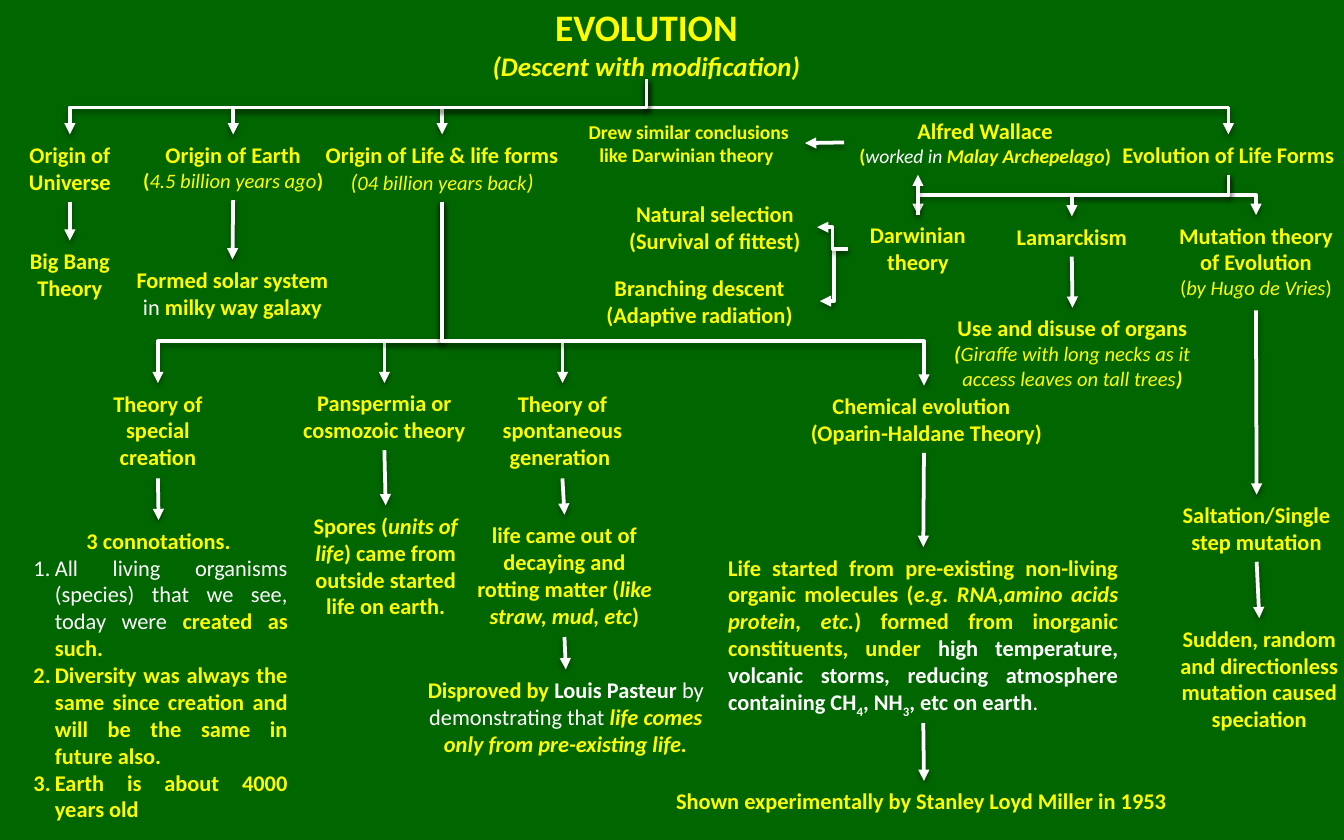
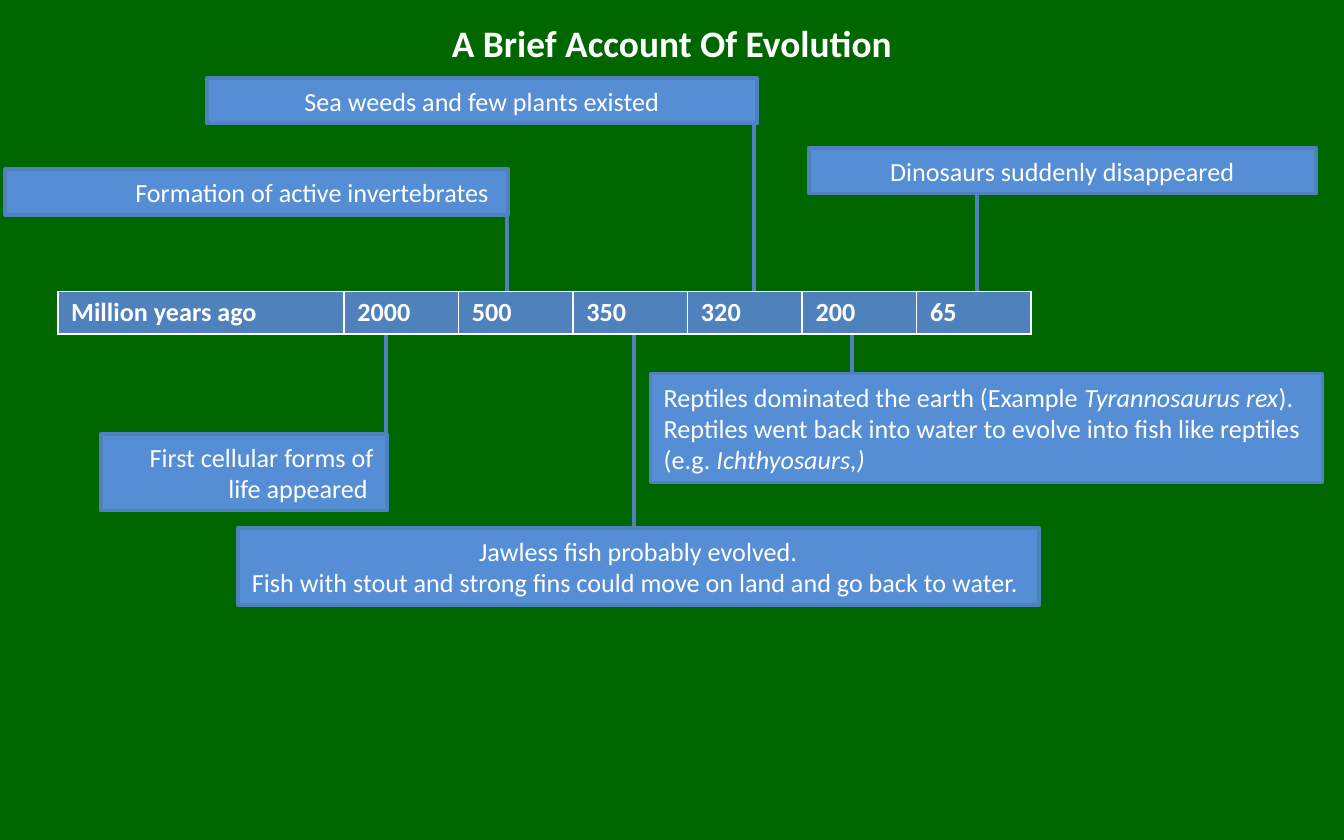
"""Build two slides on evolution: a map of theories and a time line."""
from lxml.etree import SubElement as Sub
from pptx import Presentation
from pptx.dml.color import RGBColor as RGB
from pptx.enum.shapes import MSO_CONNECTOR as Link, MSO_SHAPE as Shape
from pptx.enum.text import MSO_ANCHOR as Anchor, MSO_AUTO_SIZE as Auto, PP_ALIGN as Align
from pptx.oxml.ns import qn
from pptx.util import Inches, Pt


class Theme:
    """Colours, type and line widths; letters are the style codes of runs."""
    font = "Calibri"
    ground, yellow, white = "006600", "FFFF00", "FFFFFF"
    blue, edge = "558ED5", "4F81BD"
    base = 12
    sizes = {"T": 20, "h": 14.4, "m": 14, "s": 11, "x": 10.5}
    line, rule = 2, 1


COLS, ROWS = 100, 62.5
CELL = Inches(10) / COLS
SIDES = {"c": Align.CENTER, "j": Align.JUSTIFY, "r": Align.RIGHT, "l": Align.LEFT,
         "n": Align.JUSTIFY}

HEAD = (21.7, 0.5, 52.8, 5.4)
HEAD_TEXT = [("c", ["EVOLUTION"]), ("c", [("(Descent with modification)", "bih")])]

NODES = {
    "life": (22.4, 10, 21, 5, [
        ("c", ["Origin of Life & life forms"]),
        ("c", [("(", "i"), ("04 billion years back", "is"), (")", "i")])]),
    "forms": (82.4, 10, 18, 3, [("c", ["Evolution of Life Forms"])]),
    "spermia": (21.3, 28.5, 14.6, 5, [("c", ["Panspermia or cosmozoic theory"])]),
    "special": (6.7, 28.5, 10.1, 7.1, [("c", ["Theory of special creation"])]),
    "cosmos": (-1, 10, 12.4, 5, [("c", ["Origin of Universe"])]),
    "bang": (-1, 17.9, 12.4, 5, [("c", ["Big Bang Theory"])]),
    "earth": (9.1, 10, 16.5, 4.9, [
        ("c", ["Origin of Earth"]),
        ("c", [("(", "bs"), ("4.5 billion years ago", "is"), (")", "bs")])]),
    "solar": (8.5, 19.3, 17.6, 5, [
        ("c", ["Formed solar system ", ("in ", "w"), "milky way galaxy"])]),
    "spores": (21.7, 37.6, 14, 9.1, [
        ("c", ["Spores (", ("units of life", "bi"),
               ") came from outside started life on earth."])]),
    "sponte": (35.6, 28.5, 12.5, 7.1, [("c", ["Theory of spontaneous generation "])]),
    "decay": (34, 38.3, 16, 9.1, [
        ("c", ["life came out of decaying and rotting matter (",
               ("like straw, mud, etc", "bi"), ")"])]),
    "pasteur": (30.3, 49.8, 23.6, 7.1, [
        ("c", ["Disproved by ", ("Louis Pasteur ", "bw"), ("by demonstrating that ", "w"),
               ("life comes only from pre-existing life.", "bi")])]),
    "chem": (58.3, 28.7, 20.9, 5, [
        ("c", ["Chemical evolution "]), ("c", [" (Oparin-Haldane Theory)"])]),
    "start": (53.2, 40.7, 31, 13.1, [
        ("j", ["Life started from pre-existing non-living organic molecules (",
               ("e.g. RNA,amino acids protein, etc.", "bi"),
               ") formed from inorganic constituents, under ",
               ("high temperature, volcanic storms, reducing atmosphere containing CH", "bw"),
               ("4", "bw_"), (", NH", "bw"), ("3", "bw_"),
               (", etc on earth", "bw"), (". ", "w")])]),
    "miller": (46.9, 58.1, 43.7, 3, [
        ("c", ["Shown experimentally by Stanley Loyd Miller in 1953 "])]),
    "three": (1.2, 38.7, 21.2, 23.2, [
        ("c", ["3 connotations."]),
        ("n", [("All living organisms (species) that we see, today were", "w"),
               " created as such. "]),
        ("n", ["Diversity was always the same since creation and will be the same in"
               " future also. "]),
        ("n", ["Earth is about 4000 years old"])]),
    "mutate": (86, 16, 14.9, 7.1, [
        ("c", ["Mutation theory of Evolution"]),
        ("c", [("(", "s"), ("by Hugo de Vries", "is"), (")", "s")])]),
    "darwin": (63.1, 16, 10.4, 5, [("c", ["Darwinian theory"])]),
    "leap": (86.5, 36.8, 14, 5, [("c", ["Saltation/Single step mutation"])]),
    "sudden": (86.7, 46, 14, 9.1, [
        ("c", ["Sudden, random and directionless mutation caused speciation"])]),
    "branch": (43.1, 19.9, 17.9, 5, [("c", ["Branching descent (Adaptive radiation)"])]),
    "select": (45.6, 14.4, 15.2, 5, [
        ("c", ["Natural selection"]), ("c", ["(Survival of fittest)"])]),
    "lamarck": (72.3, 16.1, 14.9, 3, [("c", ["Lamarckism"])]),
    "organs": (69.5, 22.9, 20.6, 6.7, [
        ("c", ["Use and disuse of organs"]),
        ("c", [("(", "bis"), ("Giraffe with long necks as it access leaves on tall trees", "is"),
               (")", "bis")])]),
    "wallace": (62.8, 8.2, 21, 4.8, [
        ("c", ["Alfred Wallace"]),
        ("c", [("(", "bx"), ("worked in ", "iwx"), ("Malay Archepelago", "bix"),
               (") ", "bx")])]),
    "drew": (42.6, 8.4, 17.3, 4.5, [
        ("c", [("Drew similar conclusions like Darwinian theory ", "bx")])]),
}

TREES = [
    ("head", 8, ["life", "forms", "cosmos", "earth"]),
    ("life", 25.4, ["spermia", "special", "sponte", "chem"]),
    ("forms", 14.5, ["mutate", "darwin", "lamarck"]),
]
CHAINS = ["cosmos bang", "earth solar", "spermia spores", "sponte decay pasteur",
          "chem start miller", "special three", "mutate leap sudden", "lamarck organs"]
ASIDES = [("darwin", "branch"), ("darwin", "select"), ("wallace", "drew")]

TITLE = (5, 0.5, 90, 5.3)
TIMES = ["Million years ago", "2000", "500", "350", "320", "200", "65"]
BAR = (4.3, 21.7, 72.4, 3.1)
FIRST, REST = 21.3, 8.52
EVENTS = [
    ((28.7, 24.7, 32.3), (7.5, 32.3, 21.3, 5.7),
     [("r", ["First cellular forms of life appeared "])]),
    ((37.7, 22.3, 14.6), (0.4, 12.6, 37.4, 3.4),
     [("r", ["Formation of active invertebrates "])]),
    ((47.2, 24.1, 39.8), (17.7, 39.3, 59.6, 5.7),
     [("c", ["Jawless fish probably evolved."]),
      ("c", ["Fish with stout and strong fins could move on land and go back to water. "])]),
    ((56.1, 21.7, 8.9), (15.4, 5.8, 40.9, 3.4),
     [("c", ["Sea weeds and few plants existed"])]),
    ((63.4, 24.7, 32.3), (48.4, 27.8, 50, 8.1),
     [("l", ["Reptiles dominated the earth (Example ", ("Tyrannosaurus rex", "iwm"), ")."]),
      ("l", ["Reptiles went back into water to evolve into fish like reptiles (e.g. ",
             ("Ichthyosaurs,)", "iwm")])]),
    ((72.7, 21.7, 14), (60.2, 11, 37.7, 3.4),
     [("c", ["Dinosaurs suddenly disappeared"])]),
]


def grid(*cells):
    """Turn grid cells into lengths."""
    return [round(n * CELL) for n in cells]


def style(run, code):
    """Format a run by the letters of its code."""
    font = run.font
    font.name = Theme.font
    font.size = Pt(next((Theme.sizes[c] for c in code if c in Theme.sizes), Theme.base))
    font.bold, font.italic = "b" in code, "i" in code
    font.color.rgb = RGB.from_string(Theme.white if "w" in code else Theme.yellow)
    if "_" in code:
        run._r.get_or_add_rPr().set("baseline", "-25000")


def add_runs(para, runs, code):
    """Add runs, using the given code for plain strings."""
    for item in runs:
        text, own = (item, code) if isinstance(item, str) else item
        run = para.add_run()
        run.text = text
        style(run, own)


def write(frame, paras, code="b"):
    """Fill a frame with aligned and numbered paragraphs."""
    frame.word_wrap = True
    frame.auto_size = Auto.SHAPE_TO_FIT_TEXT
    for n, (side, runs) in enumerate(paras):
        para = frame.add_paragraph() if n else frame.paragraphs[0]
        para.alignment = SIDES[side]
        if side == "n":
            props = para._p.get_or_add_pPr()
            props.set("marL", str(Inches(0.19)))
            props.set("indent", str(-Inches(0.16)))
            Sub(props, qn("a:buAutoNum"), type="arabicPeriod")
        add_runs(para, runs, code)


def add_slide(deck, box, lines):
    """Add a green slide whose title is a list of coded lines."""
    slide = deck.slides.add_slide(deck.slide_layouts[5])
    fill = slide.background.fill
    fill.solid()
    fill.fore_color.rgb = RGB.from_string(Theme.ground)
    title = slide.shapes.title
    title.left, title.top, title.width, title.height = grid(*box)
    frame = title.text_frame
    frame.auto_size, frame.vertical_anchor = Auto.NONE, Anchor.MIDDLE
    para = frame.paragraphs[0]
    para.alignment = Align.CENTER
    for n, (runs, code) in enumerate(lines):
        if n:
            para.add_line_break()
        add_runs(para, runs, code)
    return slide


def add_line(shapes, kind, ends, hue):
    """Add a connector without the theme's shadow."""
    link = shapes.add_connector(kind, *grid(*ends))
    link.line.color.rgb = RGB.from_string(hue)
    link.line.width = Pt(Theme.line)
    Sub(link._element.spPr, qn("a:effectLst"))
    return link


def add_arrow(shapes, x1, y1, x2, y2, bend=0.5, down=True):
    """Join two points with a straight or elbowed arrow that casts a shadow."""
    wide, tall = abs(x2 - x1), abs(y2 - y1)
    if min(wide, tall) < 1:
        link = add_line(shapes, Link.STRAIGHT, (x1, y1, x2, y2), Theme.white)
    else:
        run, rise = (tall, wide) if down else (wide, tall)
        left, top = (x1 + x2 - run) / 2, (y1 + y2 - rise) / 2
        ends = [left, top, left + run, top + rise]
        if down and x2 > x1:
            ends[0], ends[2] = ends[2], ends[0]
        if not down and y2 > y1:
            ends[1], ends[3] = ends[3], ends[1]
        turn = (270 if x2 > x1 else 90) if down else 180
        link = add_line(shapes, Link.ELBOW, ends, Theme.white)
        props = link._element.spPr
        props.find(qn("a:xfrm")).set("rot", str(turn * 60000))
        guides = props.find(qn("a:prstGeom")).find(qn("a:avLst"))
        Sub(guides, qn("a:gd"), name="adj1", fmla=f"val {round(bend * 100000)}")
    props = link._element.spPr
    Sub(props.find(qn("a:ln")), qn("a:tailEnd"), type="triangle")
    cast = Sub(props.find(qn("a:effectLst")), qn("a:outerShdw"), blurRad=str(Pt(3.1)),
               dist=str(Pt(1.6)), dir="5400000", rotWithShape="0")
    Sub(Sub(cast, qn("a:srgbClr"), val="000000"), qn("a:alpha"), val="38000")


def drop(shapes, start, end, rail=None):
    """Draw an arrow from the foot of one node to the top of another."""
    x, y, w, h = start[:4]
    foot = y + h
    bend = (rail - foot) / (end[1] - foot) if rail else 0.5
    add_arrow(shapes, x + w / 2, foot, end[0] + end[2] / 2, end[1], bend)


def draw_map(deck):
    """Draw the map of theories."""
    lines = [(runs, "bT" if n == 0 else "b") for n, (_, runs) in enumerate(HEAD_TEXT)]
    shapes = add_slide(deck, HEAD, lines).shapes
    spots = {"head": HEAD, **NODES}
    for root, rail, leaves in TREES:
        for leaf in leaves:
            drop(shapes, spots[root], spots[leaf], rail)
    for chain in CHAINS:
        names = chain.split()
        for one, two in zip(names, names[1:]):
            drop(shapes, spots[one], spots[two])
    for one, two in ASIDES:
        (x, y, _, h), (left, top, w, tall) = spots[one][:4], spots[two][:4]
        add_arrow(shapes, x, y + h / 2, left + w, top + tall / 2, down=False)
    x, y, w, _ = spots["darwin"][:4]
    _, top, _, tall = spots["wallace"][:4]
    add_arrow(shapes, x + w / 2, y, x + w / 2, top + tall)
    for name, (*box, paras) in NODES.items():
        frame = shapes.add_textbox(*grid(*box)).text_frame
        write(frame, paras)
        frame.word_wrap = name != "forms"


def add_cell(cell, text):
    """Format a cell of the time bar."""
    cell.margin_top = cell.margin_bottom = Inches(0.04)
    add_runs(cell.text_frame.paragraphs[0], [text], "bwm")
    props = cell._tc.get_or_add_tcPr()
    for side in "LRTB":
        rule = Sub(props, qn(f"a:ln{side}"), w=str(Pt(Theme.rule)))
        Sub(Sub(rule, qn("a:solidFill")), qn("a:srgbClr"), val=Theme.white)
    cell.fill.solid()
    cell.fill.fore_color.rgb = RGB.from_string(Theme.edge)


def draw_times(deck):
    """Draw the time line with its events."""
    slide = add_slide(deck, TITLE, [(["A Brief Account Of Evolution"], "bwT")])
    for (x, foot, tip), box, paras in EVENTS:
        shapes = slide.shapes.add_group_shape().shapes
        add_line(shapes, Link.STRAIGHT, (x, foot, x, tip), Theme.edge)
        card = shapes.add_shape(Shape.RECTANGLE, *grid(*box))
        card.shadow.inherit = False
        card.fill.solid()
        card.fill.fore_color.rgb = RGB.from_string(Theme.blue)
        card.line.color.rgb = RGB.from_string(Theme.edge)
        card.line.width = Pt(Theme.line)
        write(card.text_frame, paras, "wm")
    table = slide.shapes.add_table(1, len(TIMES), *grid(*BAR)).table
    table.first_row = table.horz_banding = False
    for n, text in enumerate(TIMES):
        table.columns[n].width = grid(REST if n else FIRST)[0]
        add_cell(table.cell(0, n), text)


def main():
    """Make and save the deck."""
    deck = Presentation()
    deck.slide_width, deck.slide_height = grid(COLS, ROWS)
    draw_map(deck)
    draw_times(deck)
    deck.save("out.pptx")


if __name__ == "__main__":
    main()
